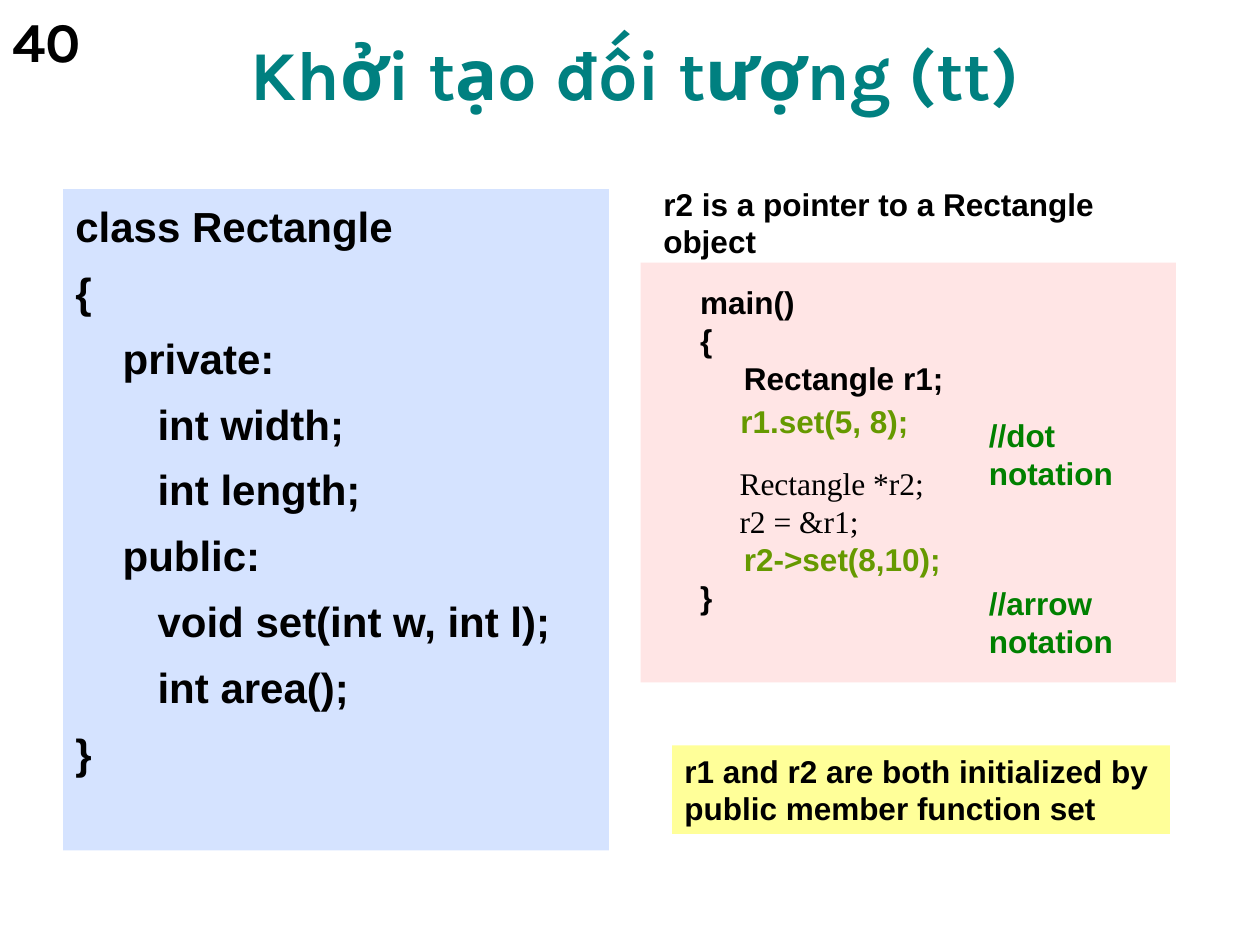
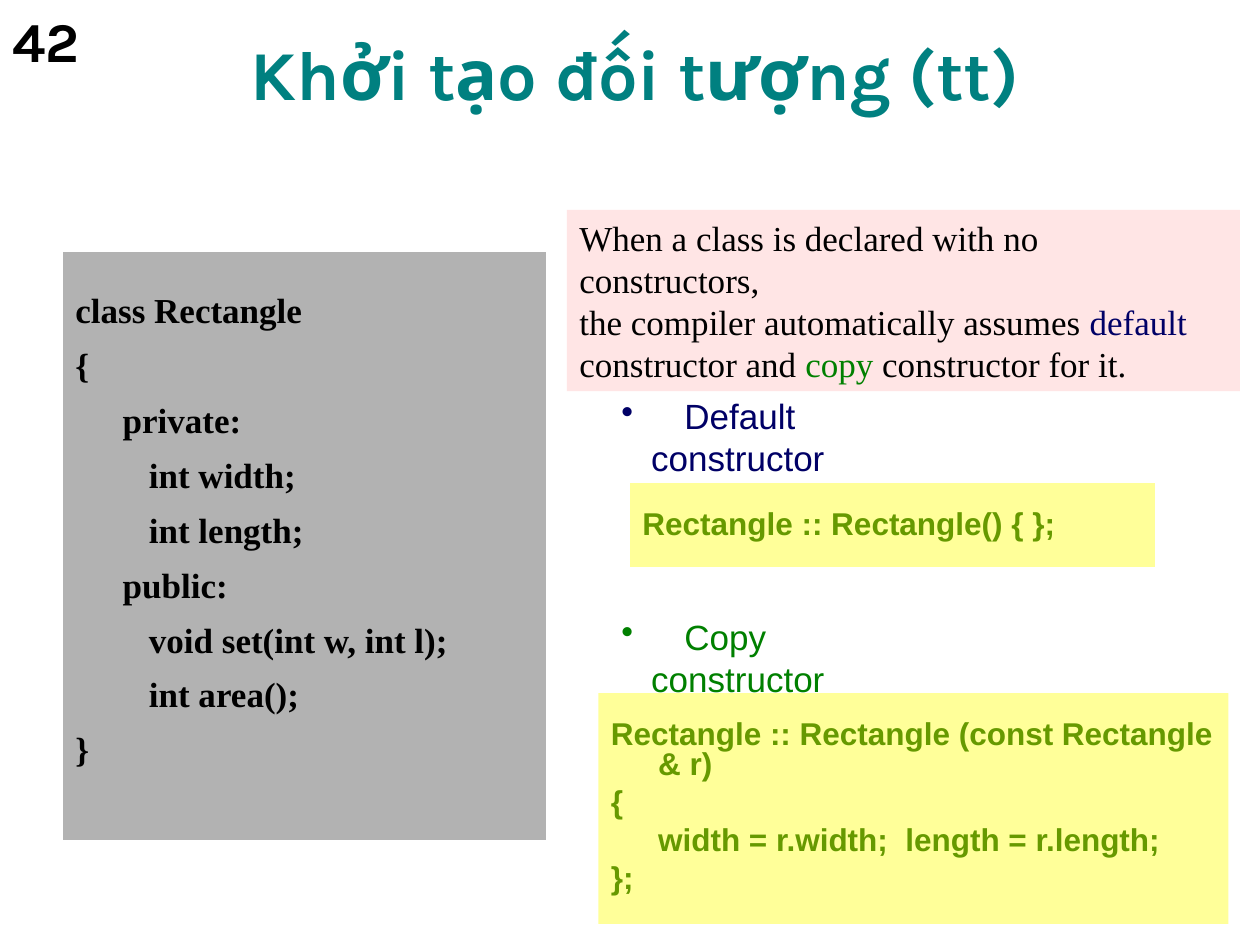
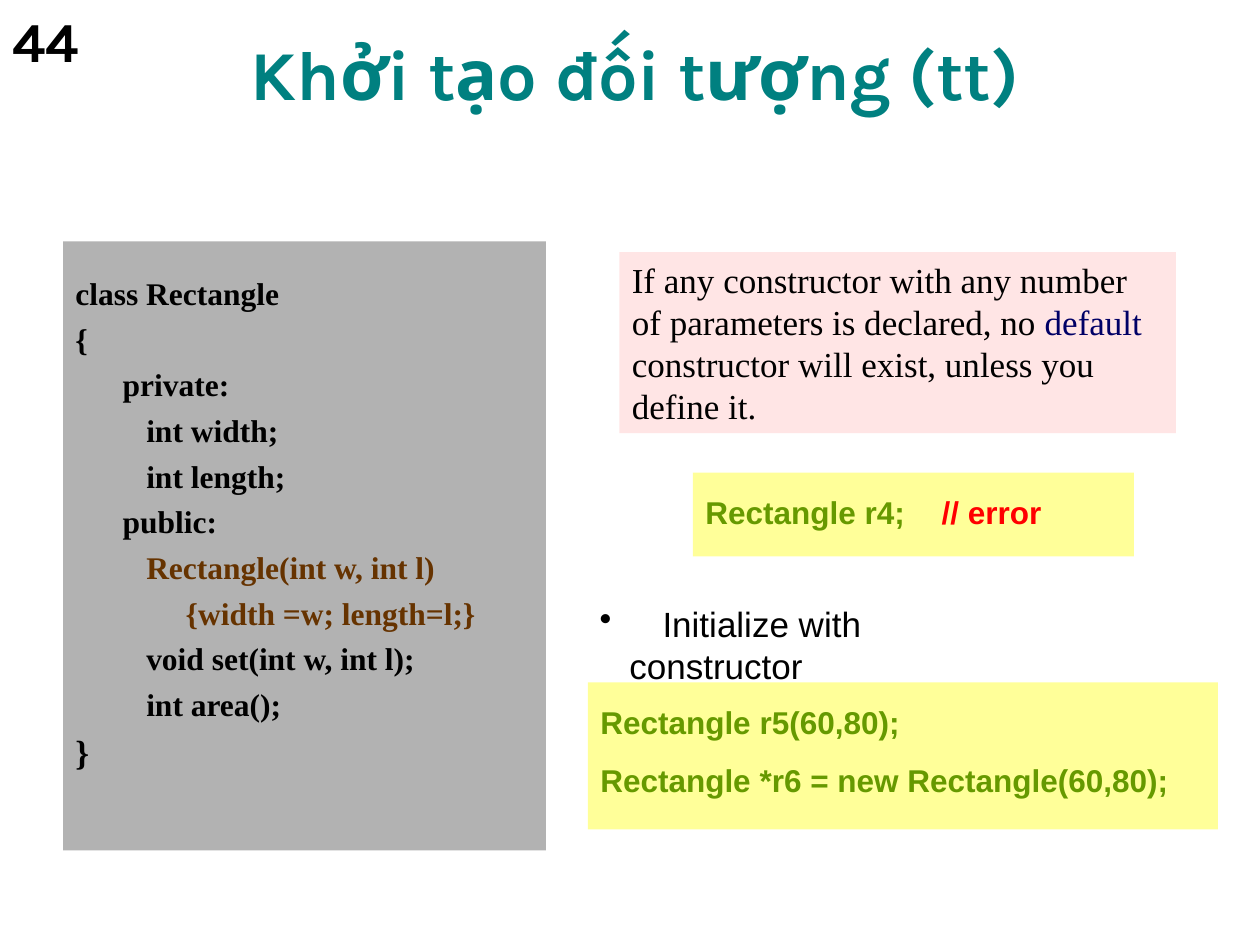
from dataclasses import dataclass, replace

from lxml.etree import SubElement
from pptx import Presentation
from pptx.dml.color import RGBColor
from pptx.enum.shapes import MSO_SHAPE
from pptx.enum.text import MSO_ANCHOR, MSO_AUTO_SIZE, PP_ALIGN
from pptx.oxml.ns import qn
from pptx.util import Pt


@dataclass(frozen=True)
class Style:
    font: str = "Arial"
    size: float = 18
    bold: bool = True
    color: str = "000000"
    fill: str = ""
    line_spacing: float = 1.0
    space_before: float = 0
    hanging: float = 0
    top_inset: float = 3.6
    tabs: tuple = (72, 144)
    bullet: str = ""
    wrap: bool = True


class Theme:
    navy, green, olive, brown, red = "000066", "008000", "669900", "663300", "FF0000"
    blue, pink, yellow, gray = "D5E3FF", "FFE5E5", "FFFF99", "B2B2B2"
    title = Style("Karla", 40, color="008080")
    number = Style("Karla", 32)
    label = Style(wrap=False)
    remark = Style("Times New Roman", 20, bold=False, fill=pink)
    bullet = Style(size=20, bold=False, hanging=17, tabs=(11,), bullet="•")
    snippet = Style(color=olive, fill=yellow, line_spacing=0.8,
                    space_before=4.5, hanging=27, top_inset=16)
    class_code = Style("Times New Roman", 20, fill=gray, line_spacing=1.1,
                       space_before=5, hanging=27, top_inset=18.5)


def format_run(run, style):
    run.font.name = style.font
    run.font.size = Pt(style.size)
    run.font.bold = style.bold
    run.font.color.rgb = RGBColor.from_string(style.color)


def add_box(slide, frame, lines, style):
    """Add a text box, filled if the style has a fill.

    A line is a string or a list of (text, style changes) pairs.
    """
    frame = [Pt(length) for length in frame]
    if style.fill:
        shape = slide.shapes.add_shape(MSO_SHAPE.RECTANGLE, *frame)
        shape.shadow.inherit = False
        shape.fill.solid()
        shape.fill.fore_color.rgb = RGBColor.from_string(style.fill)
        shape.line.fill.background()
    else:
        shape = slide.shapes.add_textbox(*frame)
    text_frame = shape.text_frame
    text_frame.word_wrap = style.wrap
    text_frame.vertical_anchor = MSO_ANCHOR.TOP
    text_frame.margin_top = Pt(style.top_inset)
    for index, line in enumerate(lines):
        paragraph = text_frame.add_paragraph() if index else text_frame.paragraphs[0]
        properties = paragraph._p.get_or_add_pPr()
        properties.set("marL", str(Pt(style.hanging)))
        properties.set("indent", str(Pt(-style.hanging)))
        if style.bullet:
            SubElement(properties, qn("a:buChar"), char=style.bullet)
        tab_list = SubElement(properties, qn("a:tabLst"))
        for position in style.tabs:
            SubElement(tab_list, qn("a:tab"), pos=str(Pt(position)), algn="l")
        paragraph.alignment = PP_ALIGN.LEFT
        paragraph.line_spacing = style.line_spacing
        if index:
            paragraph.space_before = Pt(style.space_before)
        for text, changes in [(line, {})] if isinstance(line, str) else line:
            run = paragraph.add_run()
            run.text = text
            format_run(run, replace(style, **changes))
    return shape


presentation = Presentation()
presentation.slide_width, presentation.slide_height = Pt(720), Pt(540)

slides = []
for number in ("40", "42", "44"):
    slide = presentation.slides.add_slide(presentation.slide_layouts[5])
    title = slide.shapes.title
    title.left, title.top, title.width, title.height = Pt(24), Pt(12), Pt(678), Pt(57)
    title.text_frame.text = "Khởi tạo đối tượng (tt)"
    title.text_frame.auto_size = MSO_AUTO_SIZE.NONE
    title.text_frame.vertical_anchor = MSO_ANCHOR.BOTTOM
    title.text_frame.paragraphs[0].alignment = PP_ALIGN.CENTER
    format_run(title.text_frame.paragraphs[0].runs[0], Theme.title)
    add_box(slide, (0, 0, 78, 51), [number], Theme.number)
    slides.append(slide)
objects_slide, default_slide, constructor_slide = slides

class_start = ["class Rectangle", "{", "\tprivate:", "\t   int width;",
               "\t   int length;", "\tpublic:"]
class_end = ["\t   void set(int w, int l);", "\t   int area();", "}"]
olive = {"color": Theme.olive}
navy = {"color": Theme.navy}
green = {"color": Theme.green}
times = {"font": "Times New Roman", "bold": False}

# Objects set through dot and arrow notation
add_box(objects_slide, (36, 108, 312, 378), class_start + class_end,
        replace(Theme.class_code, font="Arial", size=24, fill=Theme.blue,
                space_before=6, top_inset=3.6))
main_code = add_box(objects_slide, (366, 150, 306, 240), [
    "\tmain()",
    "\t{",
    "\t     Rectangle r1;",
    [("          ", {}), ("r1.set(5, 8);", olive)],
    [("\t     Rectangle *r2;", times)],
    [("\t     r2 = &r1;", times)],
    [("\t     r2->set(8,10);", olive)],
    "\t}",
], replace(Theme.snippet, color="000000", fill=Theme.pink))
main_code.text_frame.paragraphs[3].space_before = Pt(7)
main_code.text_frame.paragraphs[4].space_before = Pt(18)
add_box(objects_slide, (372, 102, 318, 29),
        ["r2 is a pointer to a Rectangle object"], Theme.label)
for text, top, width in (("//dot notation", 234, 128), ("//arrow notation", 330, 149)):
    add_box(objects_slide, (558, top, width, 29), [text],
            replace(Theme.label, color=Theme.green))
add_box(objects_slide, (384, 426, 284.5, 50.5),
        ["r1 and r2 are both initialized by", "public member function set"],
        replace(Theme.label, fill=Theme.yellow))

# Constructors assumed by the compiler
add_box(default_slide, (36, 144, 276, 336), class_start + class_end, Theme.class_code)
add_box(default_slide, (348, 222, 201, 31.5), ["\tDefault constructor"],
        replace(Theme.bullet, **navy))
add_box(default_slide, (324, 120, 384.5, 103.5), [
    "When a class is declared with no constructors,",
    [("the compiler automatically assumes ", {}), ("default", navy)],
    [("constructor and ", {}), ("copy", green), (" constructor for it.", {})],
], Theme.remark)
add_box(default_slide, (360, 276, 300, 48), ["Rectangle :: Rectangle() { };"],
        Theme.snippet)
add_box(default_slide, (348, 348, 183.5, 31.5), ["\tCopy constructor"],
        replace(Theme.bullet, **green))
add_box(default_slide, (342, 396, 360, 132), [
    "Rectangle :: Rectangle (const Rectangle & r)",
    "{",
    "\twidth = r.width;  length = r.length;",
    "};",
], Theme.snippet)

# Constructor with parameters
brown = {"color": Theme.brown}
constructor_code = [[("\t   Rectangle(int w, int l)", brown)],
                    [("\t\t{width =w; length=l;}", brown)]]
add_box(constructor_slide, (36, 138, 276, 348),
        class_start + constructor_code + class_end[:-1] + [[("}", {"size": 20})]],
        replace(Theme.class_code, size=18, line_spacing=1.0, space_before=4.5))
add_box(constructor_slide, (354, 144, 318, 103.5), [[
    ("If any constructor with any number of parameters is declared, no ", {}),
    ("default", navy),
    (" constructor will exist, unless you define it.", {}),
]], Theme.remark)
add_box(constructor_slide, (396, 270, 252, 48),
        [[("Rectangle r4;\t", {}), ("// error", {"color": Theme.red})]], Theme.snippet)
add_box(constructor_slide, (335.5, 340.5, 250.5, 31.5),
        ["\tInitialize with constructor"], Theme.bullet)
new_code = add_box(constructor_slide, (336, 390, 360, 84),
                   ["Rectangle r5(60,80);", "Rectangle *r6 = new Rectangle(60,80);"],
                   Theme.snippet)
new_code.text_frame.paragraphs[1].space_before = Pt(16)

presentation.save("out.pptx")
